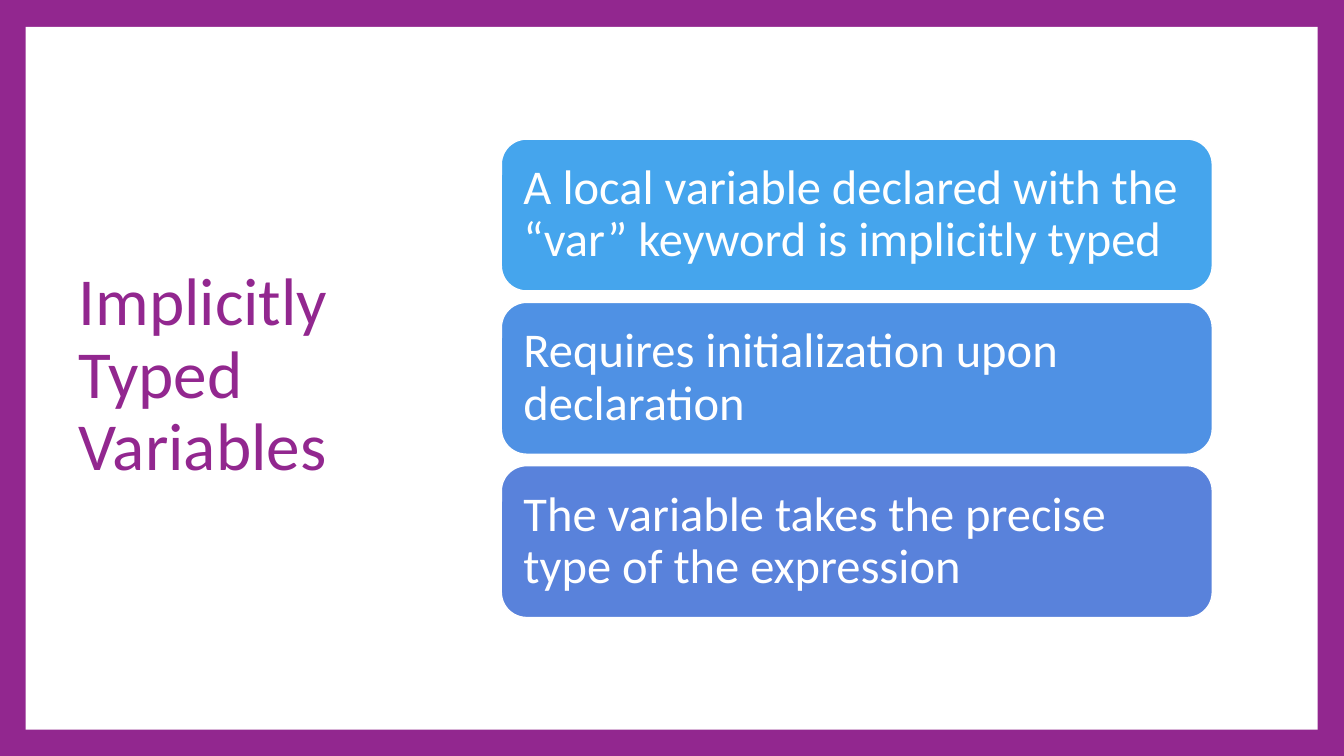
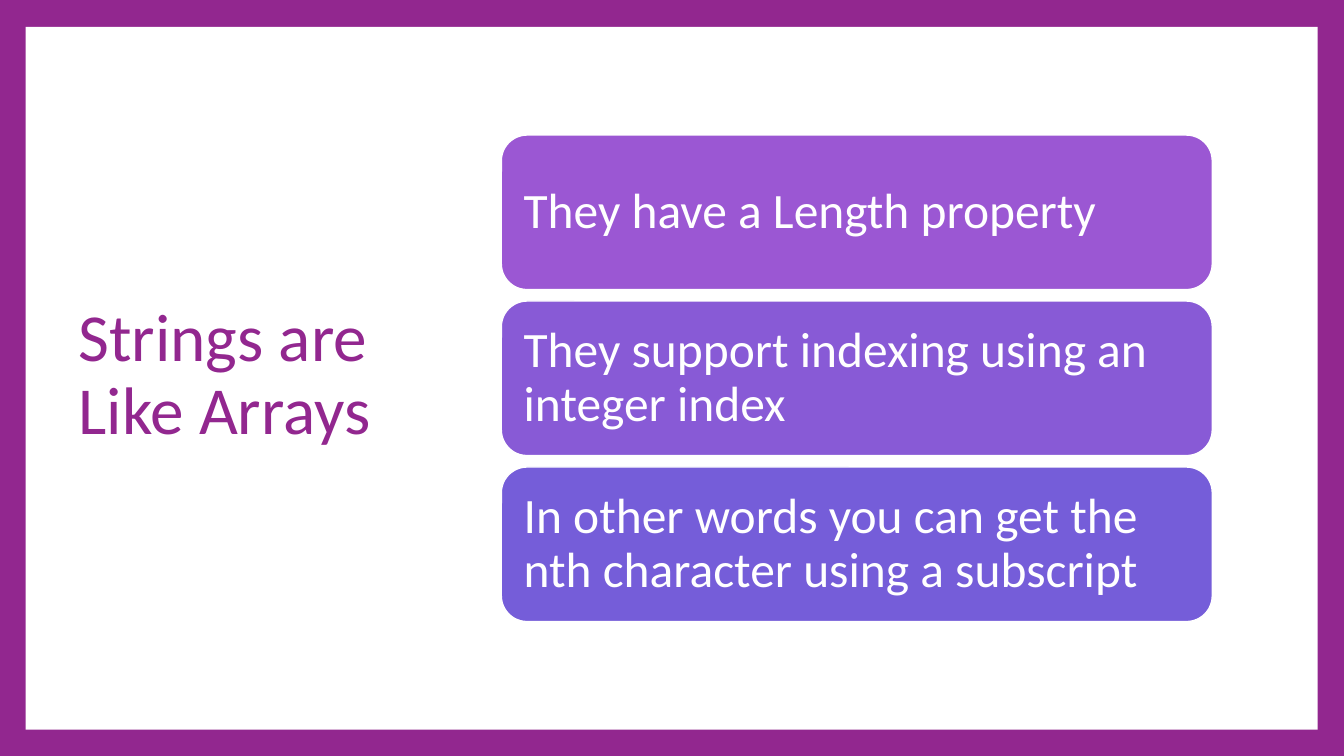
from dataclasses import dataclass

from pptx import Presentation
from pptx.dml.color import RGBColor as Color
from pptx.enum.shapes import MSO_SHAPE as Shape
from pptx.enum.text import MSO_ANCHOR as Anchor, PP_ALIGN as Align
from pptx.util import Inches, Pt


@dataclass(frozen=True)
class Theme:
    font: str = "Calibri"
    purple: str = "92278F"
    white: str = "FFFFFF"
    title_size: int = 72
    card_line: float = 1.5


theme = Theme()

slides = [
    ("Implicitly Typed Variables", 2.26, 52, [
        ("45A5ED", "A local variable declared with the “var” keyword is implicitly typed"),
        ("4F91E4", "Requires initialization upon declaration"),
        ("5982DB", "The variable takes the precise type of the expression"),
    ]),
    ("Strings are Like Arrays", 2.3, 53, [
        ("9B57D3", "They have a Length property"),
        ("885AD6", "They support indexing using an integer index"),
        ("755DD9", "In other words you can get the nth character using a subscript"),
    ]),
]
card_left, card_width, card_gap, card_inset = 7.46, 10.58, 0.17, 0.22
cards_middle = 5.63


def add_block(page, shape, left, top, width, height, fill):
    block = page.shapes.add_shape(
        shape, Inches(left), Inches(top), Inches(width), Inches(height))
    block.shadow.inherit = False
    block.fill.solid()
    block.fill.fore_color.rgb = Color.from_string(fill)
    block.line.fill.background()
    return block


def write_text(box, text, size, color):
    frame = box.text_frame
    frame.text = text
    frame.word_wrap = True
    frame.vertical_anchor = Anchor.MIDDLE
    para = frame.paragraphs[0]
    para.alignment = Align.LEFT
    para.line_spacing = 0.9
    font = para.runs[0].font
    font.name = theme.font
    font.size = Pt(size)
    font.color.rgb = Color.from_string(color)


deck = Presentation()
deck.slide_width = Inches(20)
deck.slide_height = Inches(11.25)
backdrop = deck.slide_master.background.fill
backdrop.solid()
backdrop.fore_color.rgb = Color.from_string(theme.purple)

for title, card_height, card_size, cards in slides:
    page = deck.slides.add_slide(deck.slide_layouts[6])
    add_block(page, Shape.RECTANGLE, 0.38, 0.4, 19.23, 10.46, theme.white)

    title_box = page.shapes.add_textbox(Inches(1.07), Inches(1), Inches(5.52), Inches(9.2))
    write_text(title_box, title, theme.title_size, theme.purple)

    pitch = card_height + card_gap
    first_top = cards_middle - card_height / 2 - pitch * (len(cards) - 1) / 2
    for row, (fill, text) in enumerate(cards):
        card = add_block(page, Shape.ROUNDED_RECTANGLE, card_left,
                         first_top + row * pitch, card_width, card_height, fill)
        card.line.color.rgb = Color.from_string(theme.white)
        card.line.width = Pt(theme.card_line)
        write_text(card, text, card_size, theme.white)
        frame = card.text_frame
        frame.margin_left = frame.margin_right = Inches(card_inset)
        frame.margin_top = frame.margin_bottom = Inches(card_inset)

deck.save("out.pptx")
